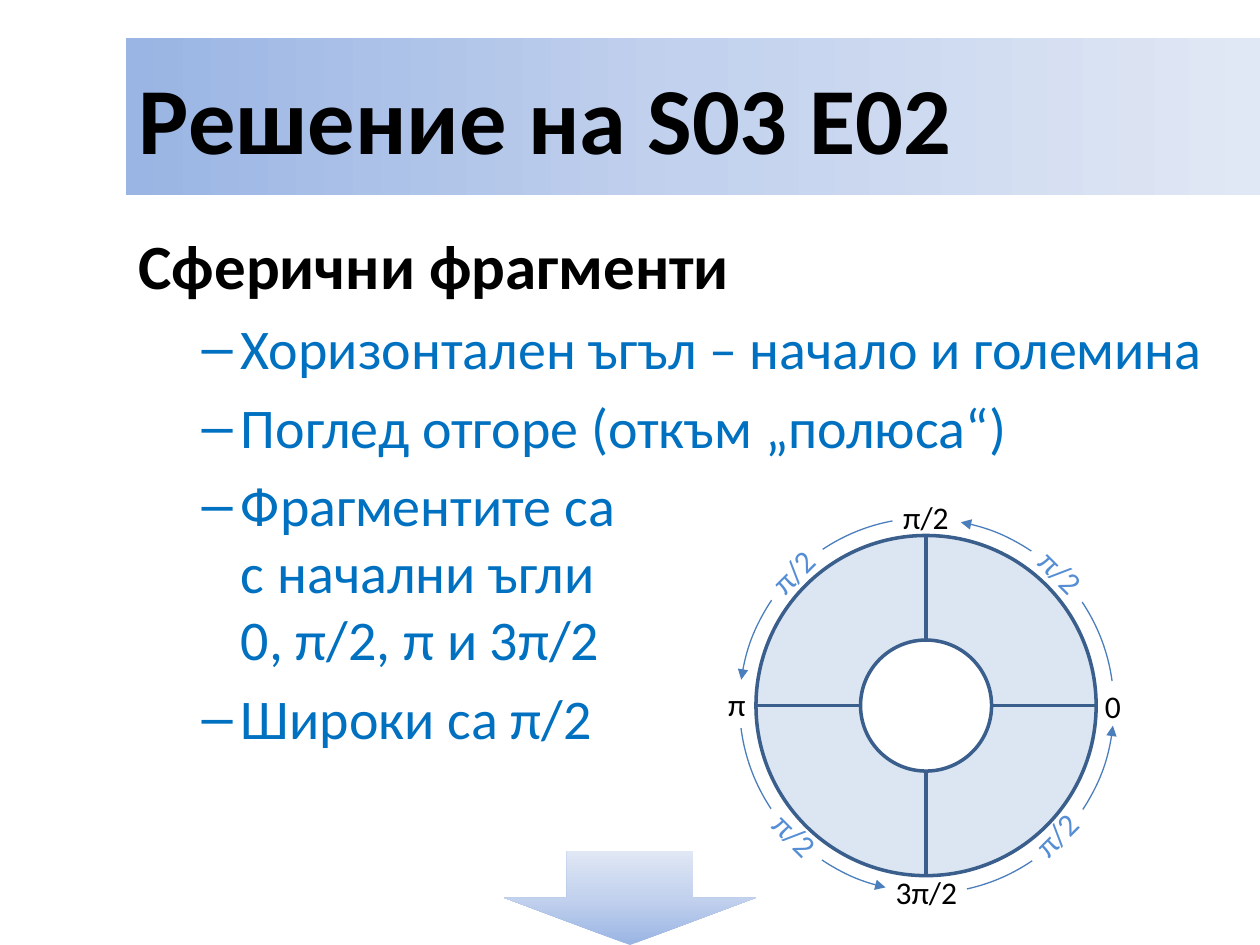
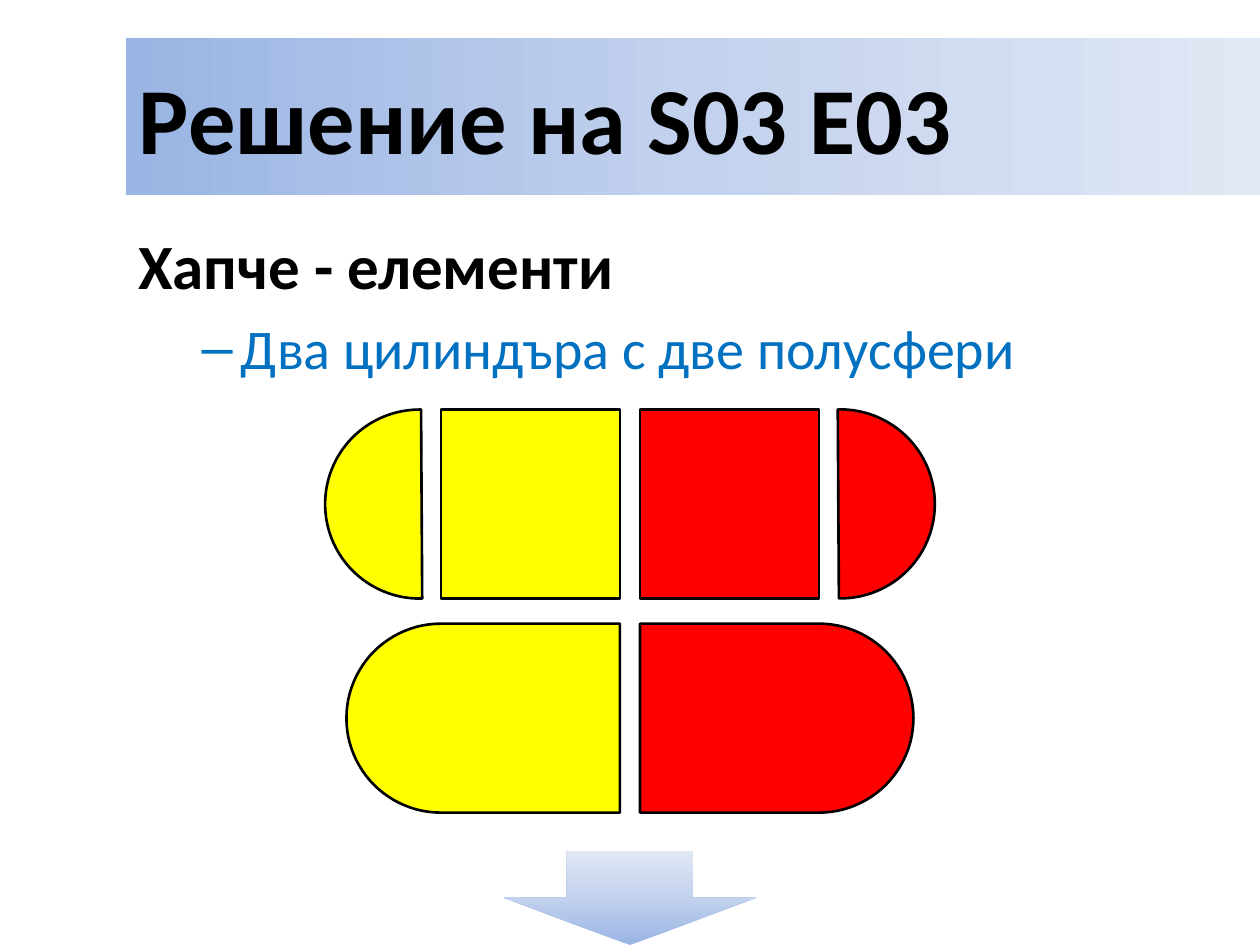
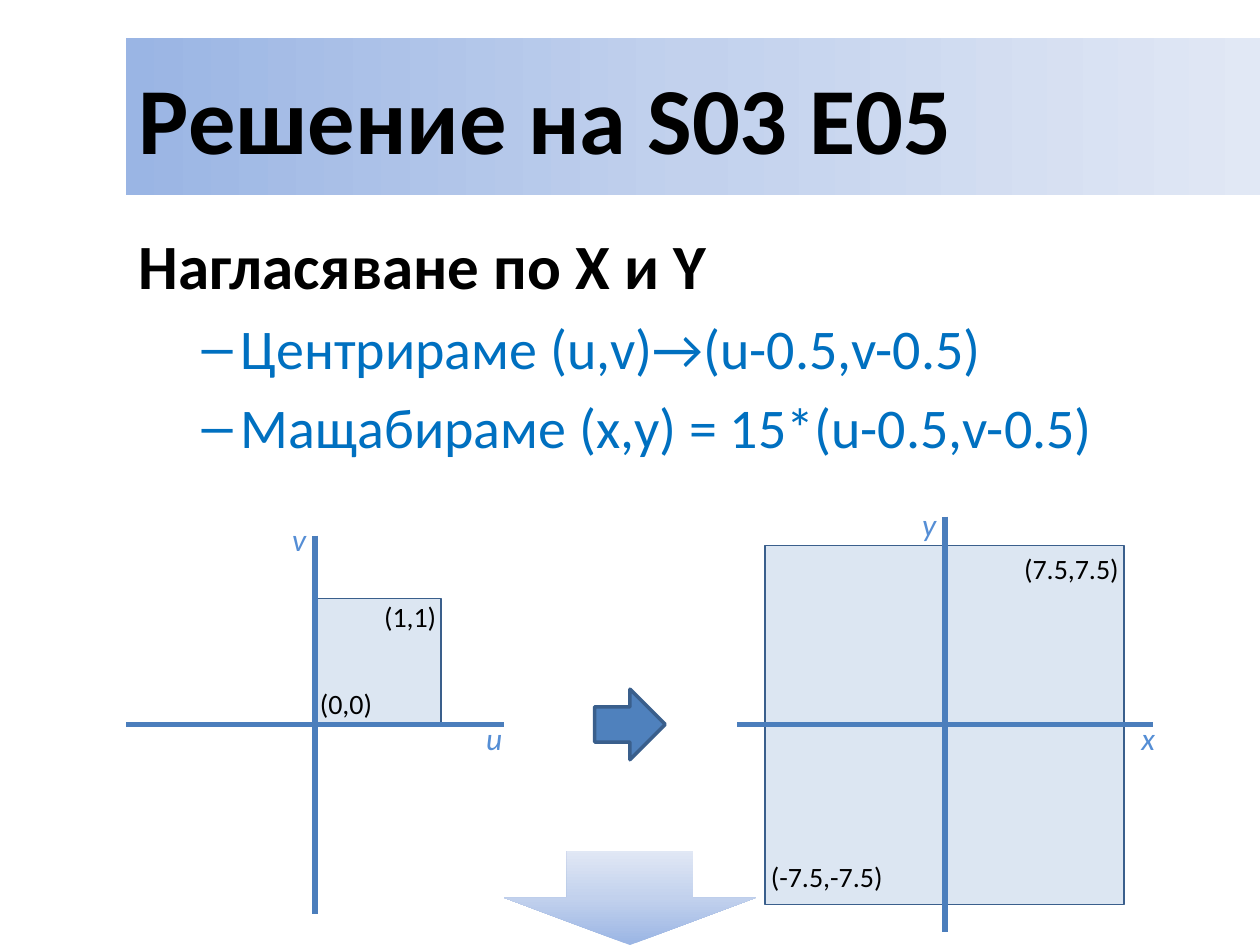
import math
from copy import deepcopy
from typing import NamedTuple

from pptx import Presentation
from pptx import util as u
from pptx.dml.color import RGBColor
from pptx.enum import shapes, text
from pptx.oxml import ns, xmlchemy as xml

FONT = "Calibri"
HEX = {
    "black": "000000", "white": "FFFFFF", "blue": "0070C0", "pale": "DCE6F2",
    "edge": "3A5F8C", "axis": "4B7EBC", "label": "558ED5", "arrow": "4F81BD",
    "red": "FF0000", "yellow": "FFFF00",
}
FADE = ((0, "9AB5E4"), (0.5, "C2D1ED"), (1, "E1E8F5"))
KIND = shapes.MSO_SHAPE


class Box(NamedTuple):
    x: float
    y: float
    w: float
    h: float

    def size(self) -> list:
        return [u.Inches(v) for v in self]


class Label(NamedTuple):
    words: str
    box: Box
    turn: int = 0


class Arc(NamedTuple):
    top: float
    turn: int
    flip: bool
    start: float
    stop: float
    end: str


class Page(NamedTuple):
    title: str
    head: str
    points: list


class Plane(NamedTuple):
    x: float  # origin
    half: float  # half length of each axis
    area: Box


BAND = Box(1, 0.3, 9, 1.25)
BODY = Box(1, 1.75, 9, 5.58)
NEXT = Box(4, 6.75, 2, 0.75)


def rgb(name: str) -> RGBColor:
    return RGBColor.from_string(HEX[name])


# Shared drawing tools
def write(para, words: str, size=18, color="black", bold=False, italic=False):
    para.text = words
    para.alignment = text.PP_ALIGN.LEFT
    for run in para.runs:
        font = run.font
        font.name, font.size = FONT, u.Pt(size)
        font.bold, font.italic = bold, italic
        font.color.rgb = rgb(color)


def place(shape, box: Box):
    shape.left, shape.top, shape.width, shape.height = box.size()


def fade(shape, angle: int):
    fill = shape.fill
    fill.gradient()
    fill.gradient_angle = angle
    stops = shape._element.spPr.find(".//" + ns.qn("a:gsLst"))
    stops.append(deepcopy(stops[0]))
    for stop, (pos, tone) in zip(fill.gradient_stops, FADE):
        stop.position = pos
        stop.color.rgb = RGBColor.from_string(tone)


def paint(shape, fill="", line="", width=1.0):
    shape.shadow.inherit = False
    if fill:
        shape.fill.solid()
        shape.fill.fore_color.rgb = rgb(fill)
    else:
        shape.fill.background()
    if line:
        shape.line.color.rgb = rgb(line)
        shape.line.width = u.Pt(width)
    else:
        shape.line.fill.background()


def draw(slide, kind, box: Box, turn=0, adj=(), **look):
    shape = slide.shapes.add_shape(kind, *box.size())
    shape.rotation = turn
    for i, deg in enumerate(adj):
        shape.adjustments[i] = deg * 0.6  # degrees to preset units
    paint(shape, **look)
    return shape


def rule(slide, x1: float, y1: float, x2: float, y2: float, color: str, width: float):
    ends = [u.Inches(v) for v in (x1, y1, x2, y2)]
    line = slide.shapes.add_connector(shapes.MSO_CONNECTOR.STRAIGHT, *ends)
    line.line.color.rgb = rgb(color)
    line.line.width = u.Pt(width)
    line._element.spPr.append(xml.OxmlElement("a:effectLst"))


def note(slide, label: Label, fill="", wrap=False, **form):
    box = slide.shapes.add_textbox(*label.box.size())
    box.rotation = label.turn
    if fill:
        box.fill.solid()
        box.fill.fore_color.rgb = rgb(fill)
    frame = box.text_frame
    frame.word_wrap = wrap
    frame.auto_size = text.MSO_AUTO_SIZE.SHAPE_TO_FIT_TEXT
    write(frame.paragraphs[0], label.words, **form)


def start(deck, page: Page):
    """Add a slide with its title band, list and arrow."""
    slide = deck.slides.add_slide(deck.slide_layouts[1])
    title, body = slide.placeholders
    for shape, box in ((title, BAND), (body, BODY)):
        place(shape, box)
        shape.text_frame.auto_size = text.MSO_AUTO_SIZE.NONE
    fade(title, 0)
    title.text_frame.vertical_anchor = text.MSO_ANCHOR.MIDDLE
    write(title.text_frame.paragraphs[0], page.title, size=54, bold=True)

    head = body.text_frame.paragraphs[0]
    write(head, page.head, size=36, bold=True)
    props = head._p.get_or_add_pPr()
    props.set("marL", "0")
    props.set("indent", "0")
    props.append(xml.OxmlElement("a:buNone"))
    for point in page.points:
        para = body.text_frame.add_paragraph()
        para.level = 1
        write(para, point, size=32, color="blue")

    fade(draw(slide, KIND.DOWN_ARROW, NEXT), 90)
    return slide


# Slide 1: ring of four fragments
RING = Page("Решение на S03 E02", "Сферични фрагменти", [
    "Хоризонтален ъгъл – начало и големина",
    "Поглед отгоре (откъм „полюса“)",
    "Фрагментите са\nс начални ъгли\n0, π/2, π и 3π/2",
    "Широки са π/2",
])
MARKS = [
    Label("0", Box(8.67, 5.4, 0.33, 0.4)),
    Label("π/2", Box(7.07, 3.9, 0.57, 0.4)),
    Label("π", Box(5.68, 5.39, 0.34, 0.4)),
    Label("3π/2", Box(7.01, 6.88, 0.69, 0.4)),
]
SPANS = [
    Label("π/2", Box(x, y, 0.57, 0.4), turn)
    for x, y, turn in ((8.14, 4.34, 45), (6.03, 6.43, 45), (6.01, 4.33, 315), (8.1, 6.42, 315))
]
ARCS = [
    Arc(4.12, 0, False, 280.52, 352.26, "head"),
    Arc(4.12, 90, False, 275.97, 347.62, "head"),
    Arc(4.11, 0, True, 280.52, 352.26, "tail"),
    Arc(4.11, 270, True, 277.14, 347.29, "tail"),
]


def sweep(slide, arc: Arc):
    shape = draw(slide, KIND.ARC, Box(5.87, arc.top, 2.97, 2.97), arc.turn,
                 (arc.start, arc.stop), line="axis", width=0.75)
    props = shape._element.spPr
    if arc.flip:
        props.find(ns.qn("a:xfrm")).set("flipH", "1")
    tip = xml.OxmlElement(f"a:{arc.end}End")
    tip.set("type", "triangle")
    props.find(ns.qn("a:ln")).append(tip)


def disc(slide, x: float, y: float, r: float, fill: str):
    draw(slide, KIND.OVAL, Box(x - r, y - r, 2 * r, 2 * r), fill=fill, line="edge", width=2)


def ring(deck):
    slide = start(deck, RING)
    for mark in MARKS:
        note(slide, mark)
    for arc in ARCS:
        sweep(slide, arc)
    for span in SPANS:
        note(slide, span, fill="white", color="label")
    x, y, r = 7.35, 5.6, 1.35
    disc(slide, x, y, r, "pale")
    rule(slide, x - r, y, x + r, y, "edge", 2)
    rule(slide, x, y - r, x, y + r, "edge", 2)
    disc(slide, x, y, 0.52, "white")


# Slide 2: pill in parts and joined
PILL = Page("Решение на S03 E03", "Хапче - елементи", ["Два цилиндъра с две полусфери"])


def half(slide, side: int, color: str):
    """Draw one half of the pill; side is -1 for left, 1 for right."""
    look = dict(fill=color, line="black", width=1.5)
    mid, gap, wide, r = 5, 0.08, 1.42, 0.75
    centre = mid + side * (gap + wide)
    cap = mid + side * 1.67  # middle of the loose cap's circle
    draw(slide, KIND.CHORD, Box(cap - r, 3.25, 2 * r, 2 * r), 0 if side > 0 else 180,
         (268.43, 90.87), **look)
    left = min(mid + side * gap, centre)
    draw(slide, KIND.RECTANGLE, Box(left, 3.25, wide, 2 * r), **look)

    y, steps = 5.7, 48
    turns = [math.pi * (i / steps - 0.5) for i in range(steps + 1)]
    curve = [(centre + side * r * math.cos(t), y + r * math.sin(t)) for t in turns]
    inner = mid + side * gap
    pen = slide.shapes.build_freeform(u.Inches(inner), u.Inches(y - r))
    dots = curve + [(inner, y + r)]
    pen.add_line_segments([(u.Inches(a), u.Inches(b)) for a, b in dots], close=True)
    paint(pen.convert_to_shape(), **look)


def pill(deck):
    slide = start(deck, PILL)
    half(slide, 1, "red")
    half(slide, -1, "yellow")


# Slide 3: two coordinate planes
SCALE = Page("Решение на S03 E05", "Нагласяване по X и Y", [
    "Центрираме (u,v)→(u-0.5,v-0.5)",
    "Мащабираме (x,y) = 15*(u-0.5,v-0.5)",
])
PLANES = [
    Plane(2.5, 1.5, Box(2.5, 4.75, 1, 1)),
    Plane(7.5, 1.65, Box(6.07, 4.33, 2.85, 2.85)),
]
SPOTS = [
    Label("(1,1)", Box(2.95, 4.71, 0.62, 0.37)),
    Label("(0,0)", Box(2.44, 5.4, 0.62, 0.37)),
    Label("(7.5,7.5)", Box(8.03, 4.33, 0.96, 0.37)),
    Label("(-7.5,-7.5)", Box(6.02, 6.77, 1.1, 0.37)),
]
NAMES = [
    Label(name, Box(x, y, 0.34, 0.4))
    for name, x, y in (("u", 3.76, 5.66), ("v", 2.22, 4.08), ("x", 8.96, 5.66), ("y", 7.22, 3.96))
]


def scale(deck):
    slide = start(deck, SCALE)
    y = 5.75
    for x, r, area in PLANES:
        draw(slide, KIND.RECTANGLE, area, fill="pale", line="edge", width=1)
        rule(slide, x - r, y, x + r, y, "axis", 3)
        rule(slide, x, y - r, x, y + r, "axis", 3)
    draw(slide, KIND.RIGHT_ARROW, Box(4.72, 5.47, 0.56, 0.56), fill="arrow", line="edge", width=2)
    for spot in SPOTS:
        note(slide, spot, size=16)
    for name in NAMES:
        note(slide, name, wrap=True, color="label", italic=True)


def main():
    deck = Presentation()
    deck.slide_width, deck.slide_height = u.Inches(10), u.Inches(7.5)
    for build in (ring, pill, scale):
        build(deck)
    deck.save("out.pptx")


if __name__ == "__main__":
    main()
